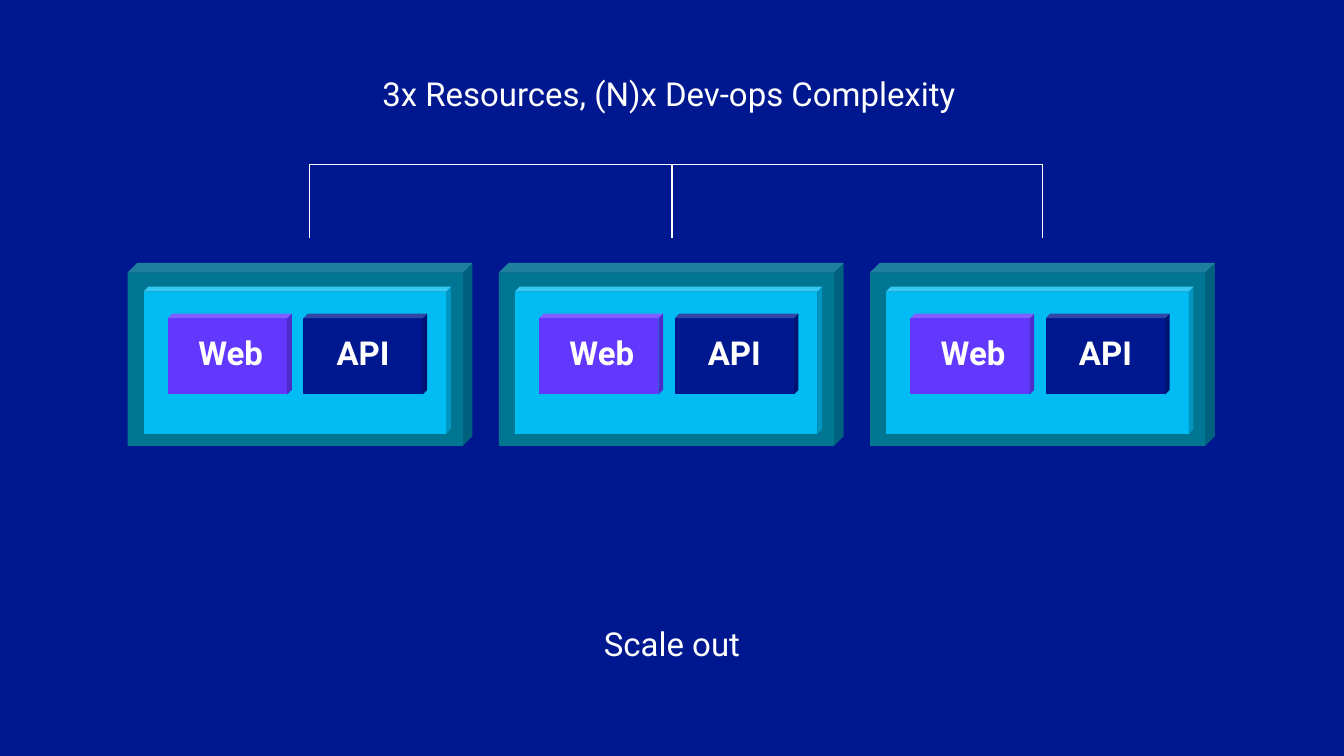
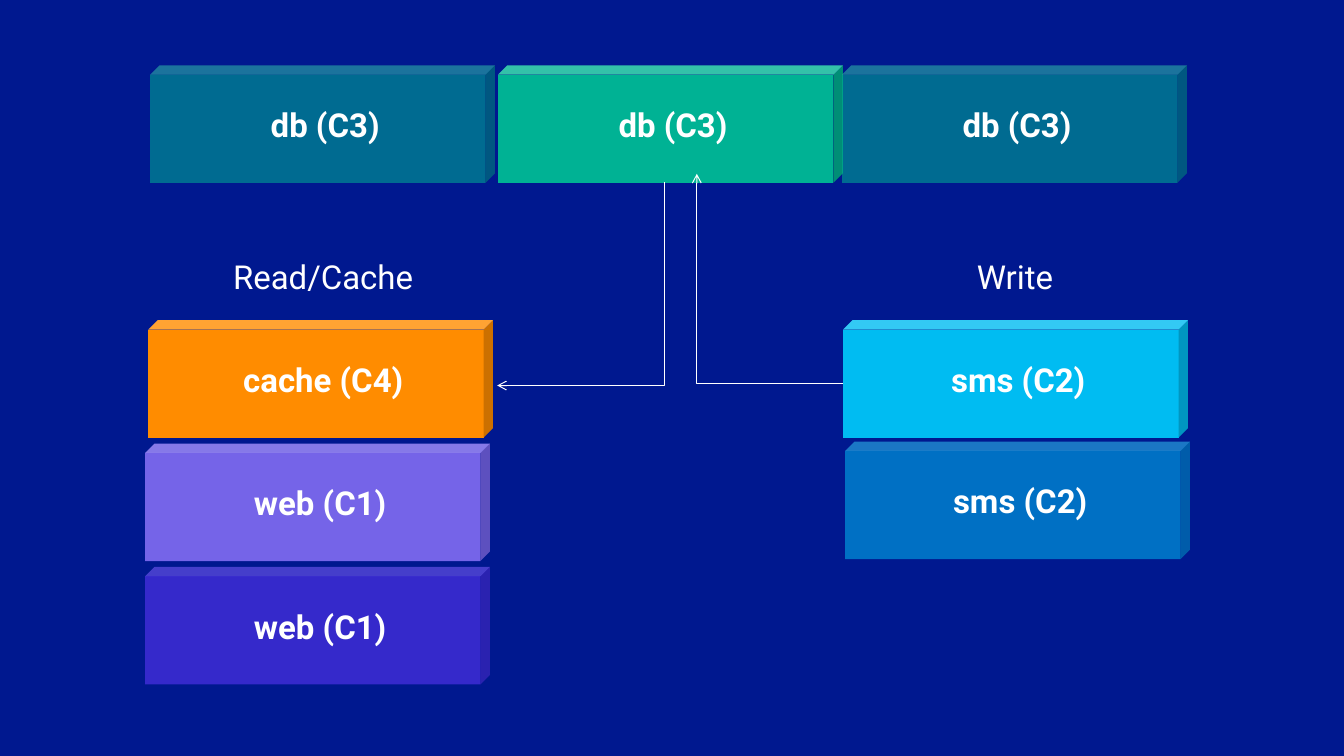
from dataclasses import dataclass

from lxml import etree
from pptx import Presentation
from pptx.dml.color import RGBColor
from pptx.enum.shapes import MSO_CONNECTOR, MSO_SHAPE
from pptx.enum.text import MSO_ANCHOR, PP_ALIGN
from pptx.oxml.ns import qn
from pptx.util import Cm, Pt

CUBE = MSO_SHAPE.CUBE
STRAIGHT = MSO_CONNECTOR.STRAIGHT
ELBOW = MSO_CONNECTOR.ELBOW
CENTER = PP_ALIGN.CENTER
TOP = MSO_ANCHOR.TOP
MIDDLE = MSO_ANCHOR.MIDDLE

BLANK_LAYOUT = 6
SLIDE_WIDTH, SLIDE_HEIGHT = 34.54, 19.43


@dataclass(frozen=True)
class Theme:
    font: str = "Roboto"
    text_size: float = 24
    line_width: float = 0.75
    background: str = "00188F"
    white: str = "FFFFFF"
    green: str = "00B294"
    cyan: str = "00BCF2"
    violet: str = "6238FF"
    lavender: str = "9377FF"
    orange: str = "FF8C00"


def write_text(shape, text, theme, bold=False, anchor=MIDDLE, margins=(0, 0, 0, 0)):
    frame = shape.text_frame
    frame.word_wrap = True
    frame.vertical_anchor = anchor
    (frame.margin_left, frame.margin_top,
     frame.margin_right, frame.margin_bottom) = map(Cm, margins)
    paragraph = frame.paragraphs[0]
    paragraph.alignment = CENTER
    paragraph.line_spacing = 0.9
    run = paragraph.add_run()
    run.text = text
    run.font.name = theme.font
    run.font.size = Pt(theme.text_size)
    run.font.bold = bold
    run.font.color.rgb = RGBColor.from_string(theme.white)


class Deck:
    def __init__(self, theme):
        self.theme = theme
        self.presentation = Presentation()
        self.presentation.slide_width = Cm(SLIDE_WIDTH)
        self.presentation.slide_height = Cm(SLIDE_HEIGHT)
        self.slide = None

    def new_slide(self):
        layout = self.presentation.slide_layouts[BLANK_LAYOUT]
        self.slide = self.presentation.slides.add_slide(layout)
        fill = self.slide.background.fill
        fill.solid()
        fill.fore_color.rgb = RGBColor.from_string(self.theme.background)

    def label(self, text, left, top, width):
        box = self.slide.shapes.add_textbox(Cm(left), Cm(top), Cm(width), Cm(1.75))
        write_text(box, text, self.theme, anchor=TOP, margins=(0.51, 0.41, 0.51, 0.41))

    def cube(self, left, top, width, height, color, depth,
             opacity=100, text=None, inset=0, parent=None):
        shapes = (parent or self.slide).shapes
        shape = shapes.add_shape(CUBE, Cm(left), Cm(top), Cm(width), Cm(height))
        shape.adjustments[0] = depth
        shape.shadow.inherit = False
        shape.line.fill.background()
        shape.fill.solid()
        shape.fill.fore_color.rgb = RGBColor.from_string(color)
        if opacity < 100:
            color_element = shape._element.spPr.find(".//" + qn("a:srgbClr"))
            etree.SubElement(color_element, qn("a:alpha"), val=str(opacity * 1000))
        if text:
            write_text(shape, text, self.theme, bold=True, margins=(inset, 0, 0, 0.1))

    def block(self, text, left, top, color, opacity=100):
        self.cube(left, top, 8.86, 3.02, color, 0.08, opacity, text, inset=0.38)

    def server(self, left, top):
        group = self.slide.shapes.add_group_shape()
        theme = self.theme
        self.cube(left, top, 8.86, 4.7, theme.green, 0.052, opacity=61, parent=group)
        self.cube(left + 0.41, top + 0.61, 7.9, 3.78, theme.cyan, 0.033, parent=group)
        for text, offset, color, inset in (("Web", 1.04, theme.violet, 0.15),
                                           ("API", 4.52, theme.background, 0)):
            self.cube(left + offset, top + 1.3, 3.18, 2.08, color, 0.056,
                      text=text, inset=inset, parent=group)

    def line(self, start, end, kind=STRAIGHT):
        connector = self.slide.shapes.add_connector(kind, *map(Cm, start + end))
        connector.line.color.rgb = RGBColor.from_string(self.theme.white)
        connector.line.width = Pt(self.theme.line_width)
        etree.SubElement(connector._element.spPr, qn("a:effectLst"))
        return connector

    def elbow_arrow(self, start, end, arrow_end):
        connector = self.line(start, end, ELBOW)
        geometry = connector._element.spPr.find(qn("a:prstGeom"))
        geometry.set("prst", "bentConnector2")
        etree.SubElement(connector.line._get_or_add_ln(), qn(arrow_end), type="arrow")


def add_scale_out(deck):
    deck.new_slide()
    deck.label("Scale out", 0, 15.72, SLIDE_WIDTH)
    deck.label("3x Resources, (N)x Dev-ops Complexity", -0.08, 1.6, SLIDE_WIDTH)
    branches = (7.95, 17.27, 26.8)
    bar_top = 4.22
    for branch in branches:
        deck.line((branch, 6.12), (branch, bar_top))
    deck.line((branches[0], bar_top), (branches[-1], bar_top))
    for column in range(3):
        deck.server(3.28 + 9.54 * column, 6.76)


def add_read_write_split(deck):
    theme = deck.theme
    deck.new_slide()
    for left, opacity in ((12.8, 100), (21.64, 54), (3.86, 54)):
        deck.block("db (C3)", left, 1.68, theme.green, opacity)

    deck.label("Read/Cache", 5.03, 6.3, 6.55)
    deck.label("Write", 22.81, 6.3, 6.55)

    row_top, row_step = 8.23, 3.17
    for row, (text, left, color, opacity) in enumerate((
            ("cache (C4)", 3.81, theme.orange, 100),
            ("web (C1)", 3.73, theme.lavender, 80),
            ("web (C1)", 3.73, theme.violet, 54))):
        deck.block(text, left, row_top + row_step * row, color, opacity)
    deck.block("sms (C2)", 21.67, row_top, theme.cyan)
    deck.block("sms (C2)", 21.72, 11.35, theme.cyan, 54)

    deck.elbow_arrow((12.78, 9.91), (17.09, 4.67), "a:headEnd")
    deck.elbow_arrow((21.67, 9.86), (17.91, 4.47), "a:tailEnd")


def main():
    deck = Deck(Theme())
    add_scale_out(deck)
    add_read_write_split(deck)
    deck.presentation.save("out.pptx")


if __name__ == "__main__":
    main()
